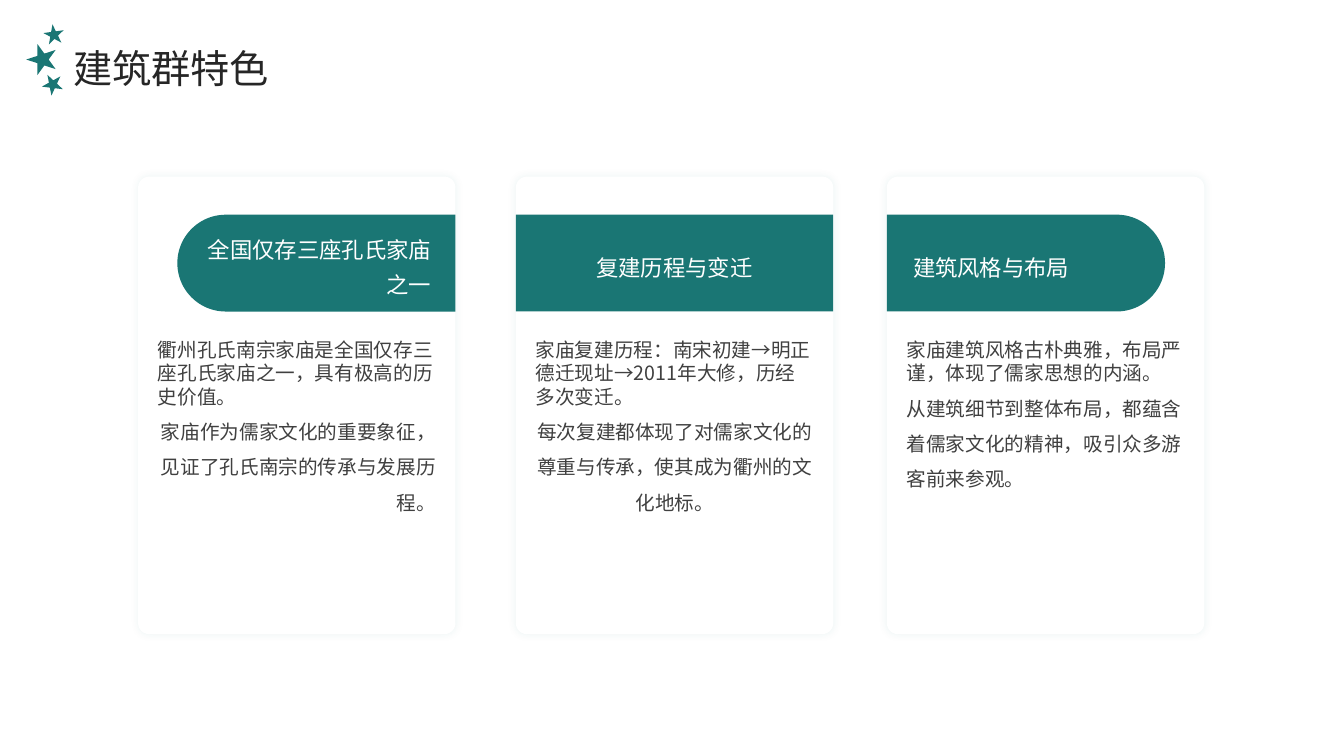
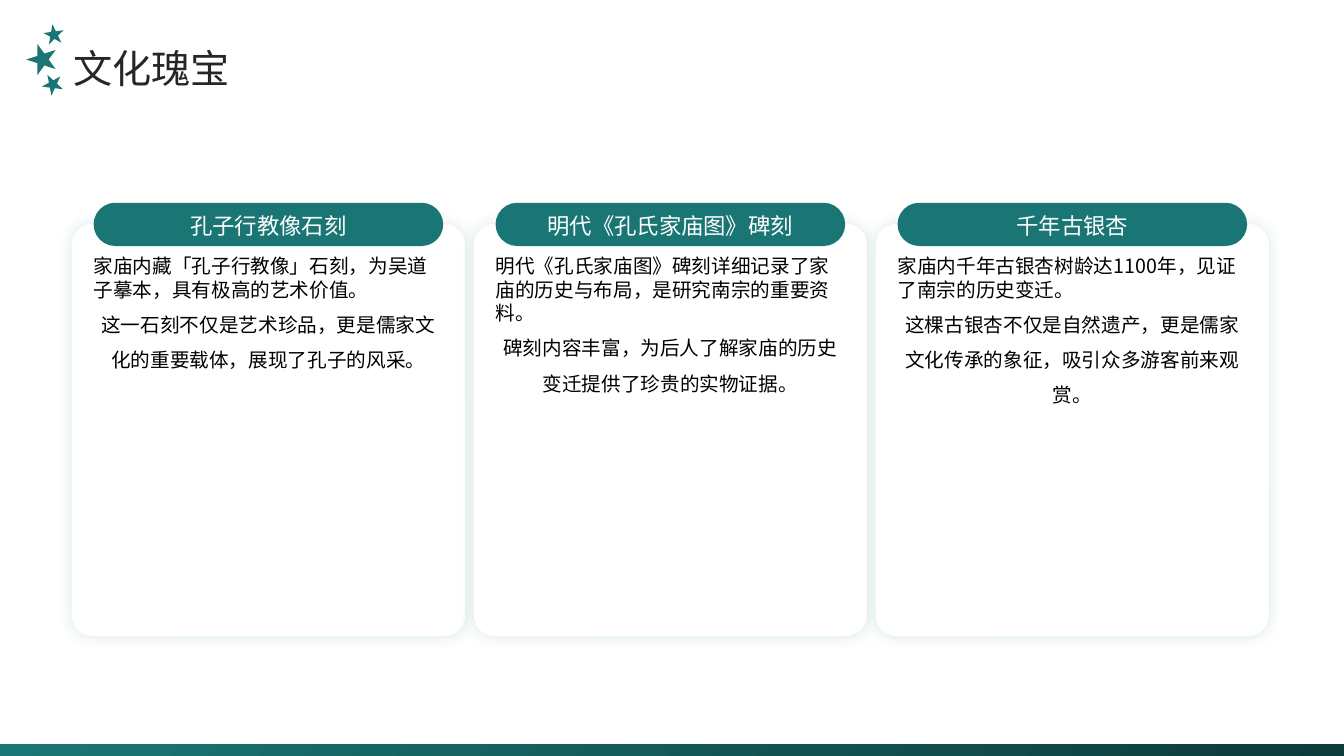
from math import cos, radians, sin

from pptx import Presentation
from pptx.dml.color import RGBColor
from pptx.enum.shapes import MSO_SHAPE as Form
from pptx.enum.text import MSO_ANCHOR as Anchor, MSO_AUTO_SIZE as Auto, PP_ALIGN as Align
from pptx.oxml.ns import qn
from pptx.util import Cm, Pt
from lxml.etree import SubElement as Sub

TEAL, DEEP, WHITE = "1A7674", "0D3B3A", "FFFFFF"
DARK, GREY, BLACK = "262626", "404040", "000000"
FONT = "Noto Sans CJK SC"
STARS = [(1.36, 0.88, 0.27, -98), (1.07, 1.5, 0.41, 180), (1.33, 2.13, 0.28, 97)]
FLUSH = dict(margin_left=0, margin_top=0, margin_right=0, margin_bottom=0)


def ink(code):
    return RGBColor.from_string(code)


def box(*sides):
    return [Cm(side) for side in sides]


class Deck:
    """Holds the style and the current slide."""

    def __init__(self):
        self.show = Presentation()
        self.show.slide_width, self.show.slide_height = box(33.87, 19.05)
        self.page = None

    # Slide with its title and star mark
    def start(self, text):
        self.page = self.show.slides.add_slide(self.show.slide_layouts[5])
        head = self.page.shapes.title
        head.left, head.top, head.width, head.height = box(1.85, 0.76, 28.83, 1.5)
        self.fill_text(head.text_frame, [(text, Align.LEFT, 1.3)], 28, DARK,
                       vertical_anchor=Anchor.TOP, auto_size=Auto.NONE, **FLUSH)
        self.stars()

    def stars(self):
        pen = None
        for x, y, size, turn in STARS:
            dots = []
            for step in range(10):
                reach = size * (0.382 if step % 2 else 1)
                angle = radians(turn + 36 * step)
                dots.append((Cm(x + reach * cos(angle)), Cm(y + reach * sin(angle))))
            if pen is None:
                pen = self.page.shapes.build_freeform(*dots[0])
            else:
                pen.move_to(*dots[0])
            pen.add_line_segments(dots[1:])
        self.paint(pen.convert_to_shape(), TEAL)

    def paint(self, item, hue):
        item.shadow.inherit = False
        item.fill.solid()
        item.fill.fore_color.rgb = ink(hue)
        item.line.fill.background()

    def shape(self, form, place, hue=TEAL, bends=(), turn=0):
        item = self.page.shapes.add_shape(form, *box(*place))
        self.paint(item, hue)
        item.rotation = turn
        for spot, bend in enumerate(bends):
            item.adjustments[spot] = bend
        return item

    # White card with a soft teal glow
    def card(self, place, bend, alpha, blur):
        item = self.shape(Form.ROUNDED_RECTANGLE, place, WHITE, [bend])
        glow = Sub(item._element.spPr.find(qn("a:effectLst")), qn("a:outerShdw"),
                   blurRad=str(Pt(blur)), dist="0", dir="0", algn="ctr", rotWithShape="0")
        tint = Sub(glow, qn("a:srgbClr"), val=TEAL)
        Sub(tint, qn("a:alpha"), val=str(alpha * 1000))

    # Band whose round end points left (270) or right (90)
    def tab(self, left, top, width, height, turn):
        shift = (width - height) / 2
        self.shape(Form.ROUND_2_SAME_RECTANGLE, (left + shift, top - shift, height, width),
                   bends=[0.5, 0], turn=turn)

    def foot(self):
        bar = self.shape(Form.RECTANGLE, (0, 18.76, 33.87, 0.29))
        bar.fill.gradient()
        bar.fill.gradient_angle = 315
        for stop, hue in zip(bar.fill.gradient_stops, (TEAL, DEEP)):
            stop.color.rgb = ink(hue)

    def label(self, place, lines, size, hue, **form):
        item = self.page.shapes.add_textbox(*box(*place))
        self.fill_text(item.text_frame, lines, size, hue, **form)

    # Opening line flush left, the next one airy
    def body(self, place, texts, align, hue):
        first, second = texts
        self.label(place, [(first, Align.LEFT, 1.0), (second, align, 1.5)], 14, hue, **FLUSH)

    def fill_text(self, frame, lines, size, hue, **form):
        for key, value in dict(word_wrap=True, **form).items():
            setattr(frame, key, value)
        for spot, (text, align, space) in enumerate(lines):
            para = frame.paragraphs[0] if spot == 0 else frame.add_paragraph()
            look = dict(alignment=align, line_spacing=space, space_before=Pt(0))
            for key, value in look.items():
                setattr(para, key, value)
            run = para.add_run()
            run.text = text
            run.font.color.rgb = ink(hue)
            for key, value in dict(size=Pt(size), name=FONT, bold=False).items():
                setattr(run.font, key, value)
            Sub(run._r.get_or_add_rPr(), qn("a:ea"), typeface=FONT)


# Card left, band left and width, round end, label left and width, align, words
TRAITS = [
    (3.48, 4.47, 7.01, 270, 4.85, 6.27, Align.RIGHT, "全国仅存三座孔氏家庙之一",
     ("衢州孔氏南宗家庙是全国仅存三座孔氏家庙之一，具有极高的历史价值。",
      "家庙作为儒家文化的重要象征，见证了孔氏南宗的传承与发展历程。")),
    (13, 13, 8, None, 13.44, 7.11, Align.CENTER, "复建历程与变迁",
     ("家庙复建历程：南宋初建→明正德迁现址→2011年大修，历经多次变迁。",
      "每次复建都体现了对儒家文化的尊重与传承，使其成为衢州的文化地标。")),
    (22.35, 22.35, 7.01, 90, 22.76, 6.17, Align.LEFT, "建筑风格与布局",
     ("家庙建筑风格古朴典雅，布局严谨，体现了儒家思想的内涵。",
      "从建筑细节到整体布局，都蕴含着儒家文化的精神，吸引众多游客前来参观。")),
]

GEMS = [
    ("孔子行教像石刻",
     ("家庙内藏「孔子行教像」石刻，为吴道子摹本，具有极高的艺术价值。",
      "这一石刻不仅是艺术珍品，更是儒家文化的重要载体，展现了孔子的风采。")),
    ("明代《孔氏家庙图》碑刻",
     ("明代《孔氏家庙图》碑刻详细记录了家庙的历史与布局，是研究南宗的重要资料。",
      "碑刻内容丰富，为后人了解家庙的历史变迁提供了珍贵的实物证据。")),
    ("千年古银杏",
     ("家庙内千年古银杏树龄达1100年，见证了南宗的历史变迁。",
      "这棵古银杏不仅是自然遗产，更是儒家文化传承的象征，吸引众多游客前来观赏。")),
]


def traits(deck):
    deck.start("建筑群特色")
    for left, edge, wide, turn, start, span, align, name, texts in TRAITS:
        deck.card((left, 4.45, 8, 11.53), 0.035, 8, 5.6)
        band = (edge, 5.41, wide, 2.44)
        if turn is None:
            deck.shape(Form.RECTANGLE, band)
        else:
            deck.tab(*band, turn)
        deck.label((start, 5.74, span, 1.78), [(name, align, 1.3)], 16, WHITE,
                   vertical_anchor=Anchor.MIDDLE)
        deck.body((left + 0.5, 8.51, 7.01, 6.13), texts, align, GREY)


def gems(deck):
    deck.start("文化瑰宝")
    deck.foot()
    for spot, (name, texts) in enumerate(GEMS):
        left = 1.81 + 10.13 * spot
        deck.card((left, 5.64, 9.91, 10.39), 0.053, 15, 10)
        deck.body((left + 0.55, 6.4, 8.81, 9.14), texts, Align.CENTER, BLACK)
        pill = deck.shape(Form.ROUNDED_RECTANGLE, (left + 0.55, 5.11, 8.81, 1.09), bends=[0.5])
        deck.fill_text(pill.text_frame, [(name, Align.CENTER, 1.1)], 16, WHITE,
                       vertical_anchor=Anchor.MIDDLE, **FLUSH)


def main():
    deck = Deck()
    traits(deck)
    gems(deck)
    deck.show.save("out.pptx")


if __name__ == "__main__":
    main()
